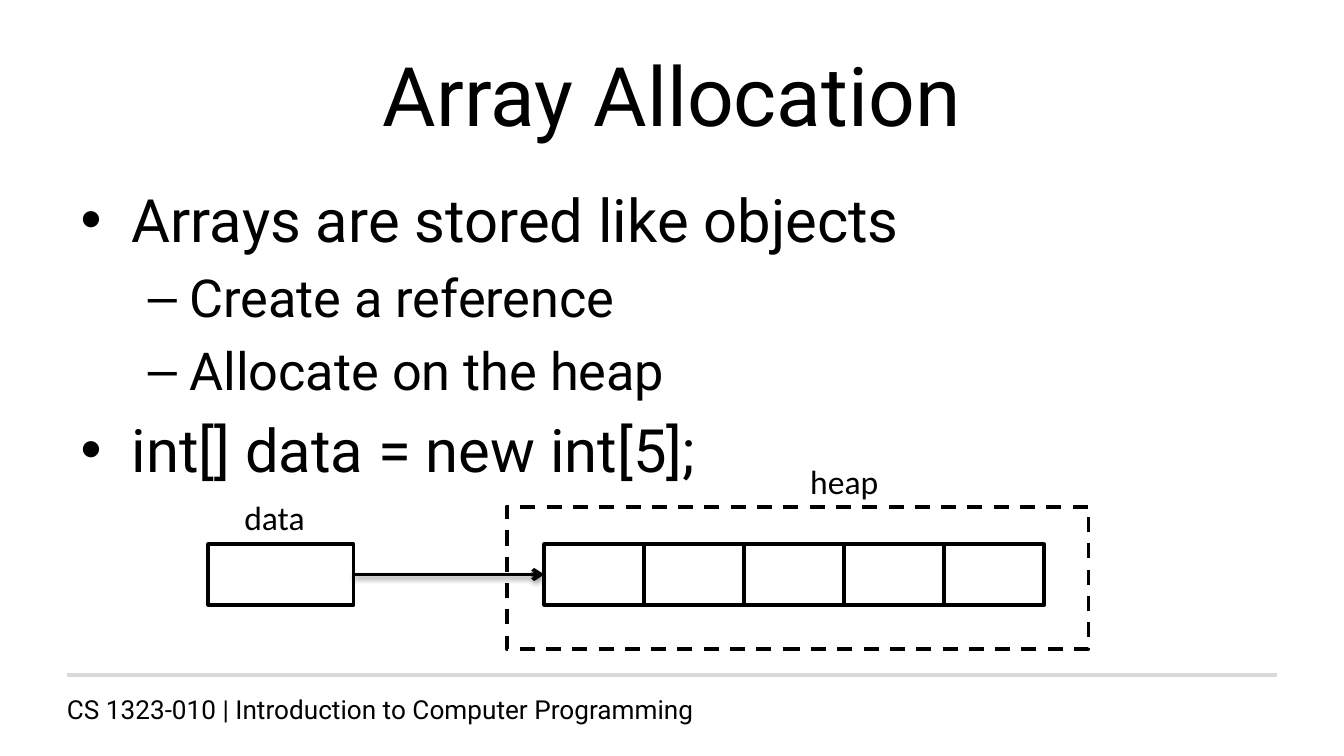
from lxml import etree
from pptx import Presentation
from pptx.dml.color import RGBColor
from pptx.enum.dml import MSO_LINE
from pptx.enum.shapes import MSO_CONNECTOR, MSO_SHAPE
from pptx.enum.text import MSO_ANCHOR, MSO_AUTO_SIZE, PP_ALIGN
from pptx.oxml.ns import qn
from pptx.util import Inches, Pt

RECT, STRAIGHT, DASH = MSO_SHAPE.RECTANGLE, MSO_CONNECTOR.STRAIGHT, MSO_LINE.DASH
MIDDLE, CENTER = MSO_ANCHOR.MIDDLE, PP_ALIGN.CENTER
FIXED, GROW = MSO_AUTO_SIZE.NONE, MSO_AUTO_SIZE.SHAPE_TO_FIT_TEXT
COLORS = {"ink": "000000", "paper": "FFFFFF", "rule": "D9D9D9"}
HEADING_FONT, LABEL_FONT = "Roboto", "Calibri"
LEVELS = [
    {"size": 32, "bullet": "•", "margin": 0.38, "hang": 0.38},
    {"size": 28, "bullet": "–", "margin": 0.81, "hang": 0.31},
]
POINTS = [
    (0, "Arrays are stored like objects"),
    (1, "Create a reference"),
    (1, "Allocate on the heap"),
    (0, "int[] data = new int[5];"),
]


def color(name):
    """Return the named colour."""
    return RGBColor.from_string(COLORS[name])


def move(sp, x, y, w, h):
    """Place a shape at the given box in inches."""
    sp.left, sp.top, sp.width, sp.height = (Inches(v) for v in (x, y, w, h))


def add_run(p, text, size, font):
    """Append a formatted run to a paragraph."""
    r = p.add_run()
    r.text = text
    r.font.size = Pt(size)
    r.font.name = font
    r.font.color.rgb = color("ink")


def add_text(s, x, y, w, h, text, size, font, wrap=True):
    """Add a one-line text box."""
    tf = s.shapes.add_textbox(*(Inches(v) for v in (x, y, w, h))).text_frame
    tf.word_wrap = wrap
    tf.auto_size = FIXED if wrap else GROW
    add_run(tf.paragraphs[0], text, size, font)


def add_box(s, x, y, w, h, dashed=False):
    """Add a filled rectangle, or an open dashed one."""
    sp = s.shapes.add_shape(RECT, *(Inches(v) for v in (x, y, w, h)))
    sp.shadow.inherit = False
    sp.line.color.rgb = color("ink")
    sp.line.width = Pt(2)
    if dashed:
        sp.fill.background()
        sp.line.dash_style = DASH
    else:
        sp.fill.solid()
        sp.fill.fore_color.rgb = color("paper")
    return sp


def add_line(s, x1, y1, x2, y2, name):
    """Add a straight line and return it with its empty effect list."""
    line = s.shapes.add_connector(STRAIGHT, *(Inches(v) for v in (x1, y1, x2, y2)))
    line.line.color.rgb = color(name)
    line.line.width = Pt(2)
    effects = etree.SubElement(line._element.spPr, qn("a:effectLst"))
    return line, effects


def add_footer(s, x, y, w):
    """Add the rule and the course name below it."""
    add_line(s, x, y, x + w, y, "rule")
    add_text(s, x - 0.1, y + 0.09, w, 0.21,
             "CS 1323-010 | Introduction to Computer Programming", 14, HEADING_FONT)


def fill_title(s, x, y, w, h):
    """Fill the title placeholder."""
    sp = s.shapes.title
    move(sp, x, y, w, h)
    tf = sp.text_frame
    tf.auto_size = FIXED
    tf.vertical_anchor = MIDDLE
    p = tf.paragraphs[0]
    p.alignment = CENTER
    add_run(p, "Array Allocation", 44, HEADING_FONT)


def fill_body(s, x, y, w, h):
    """Fill the body placeholder with the two-level list."""
    sp = s.placeholders[1]
    move(sp, x, y, w, h)
    tf = sp.text_frame
    tf.auto_size = FIXED
    for i, (level, text) in enumerate(POINTS):
        style = LEVELS[level]
        p = tf.add_paragraph() if i else tf.paragraphs[0]
        p.level = level
        p.space_before = Pt(0.2 * style["size"] if i else 0)
        pPr = p._p.get_or_add_pPr()
        pPr.set("marL", str(Inches(style["margin"])))
        pPr.set("indent", str(-Inches(style["hang"])))
        etree.SubElement(pPr, qn("a:buChar"), char=style["bullet"])
        add_run(p, text, style["size"], HEADING_FONT)


def add_arrow(s, start, end):
    """Join the right side of one box to the left side of another."""
    arrow, effects = add_line(s, 0, 0, 1, 1, "ink")
    arrow.begin_connect(start, 3)
    arrow.end_connect(end, 1)
    etree.SubElement(arrow.line._get_or_add_ln(), qn("a:tailEnd"), type="arrow")
    shadow = etree.SubElement(effects, qn("a:outerShdw"), blurRad=str(Pt(3.1)),
                              dist=str(Pt(1.6)), dir="5400000", rotWithShape="0")
    tint = etree.SubElement(shadow, qn("a:srgbClr"), val=COLORS["ink"])
    etree.SubElement(tint, qn("a:alpha"), val="38000")


def add_memory_diagram(s, x, y, w, h, cells=5):
    """Draw the reference and the array it points to on the heap."""
    row_y, row_h = y + 0.67, 0.45
    heap_x, heap_y = x + 2.22, y + 0.39
    array_x, cell_w = x + 2.5, 3.72 / cells
    reference = add_box(s, x, row_y, 1.08, row_h)
    add_text(s, x + 0.17, y + 0.27, 0.66, 0.4, "data", 18, LABEL_FONT, wrap=False)
    array = [add_box(s, array_x + i * cell_w, row_y, cell_w, row_h) for i in range(cells)]
    add_box(s, heap_x, heap_y, x + w - heap_x, y + h - heap_y, dashed=True)
    add_text(s, x + 4.38, y, 0.71, 0.4, "heap", 18, LABEL_FONT, wrap=False)
    add_arrow(s, reference, array[0])


def main():
    """Build the slide and save it."""
    prs = Presentation()
    prs.slide_width = Inches(10)
    prs.slide_height = prs.slide_width * 9 // 16
    s = prs.slides.add_slide(prs.slide_layouts[1])
    s.background.fill.solid()
    s.background.fill.fore_color.rgb = color("paper")
    add_footer(s, 0.5, 5.02, 9)
    fill_title(s, 0.5, 0.23, 9, 0.94)
    fill_body(s, 0.5, 1.31, 9, 3.71)
    add_memory_diagram(s, 1.55, 3.38, 6.55, 1.45)
    prs.save("out.pptx")


if __name__ == "__main__":
    main()
